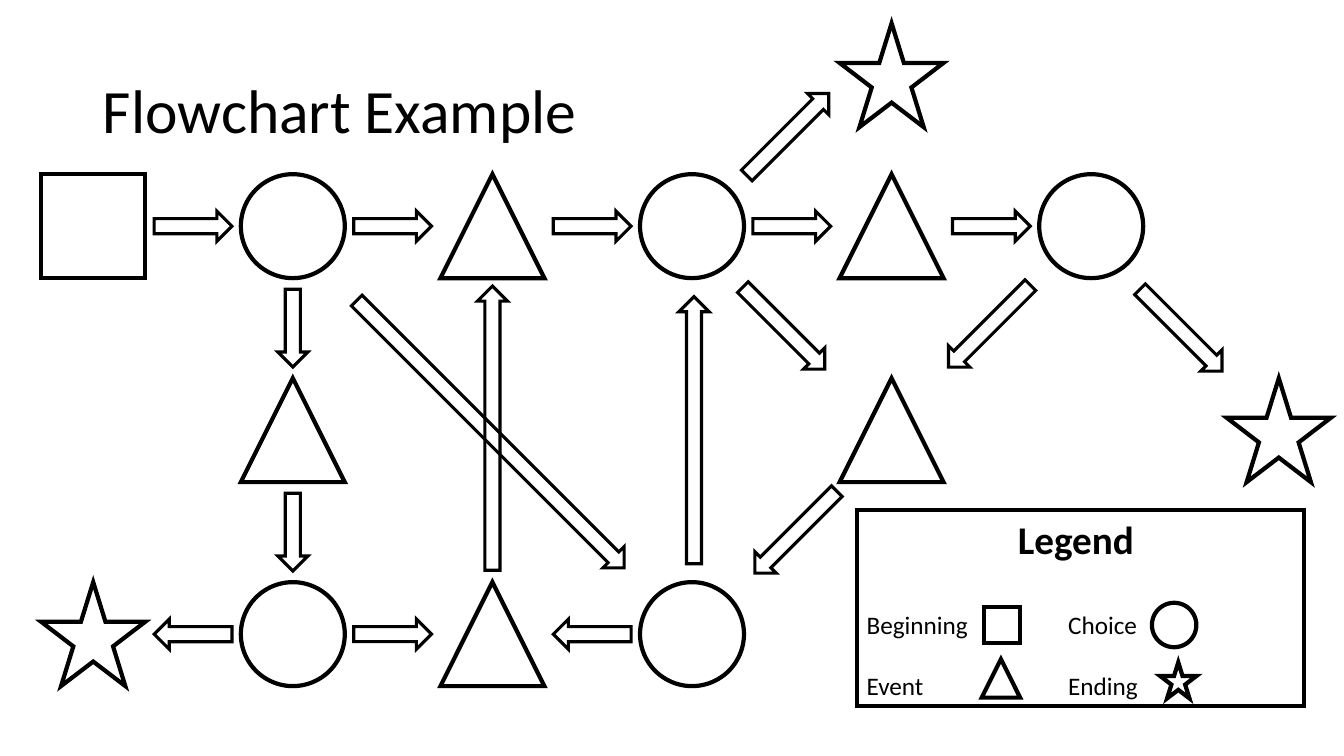
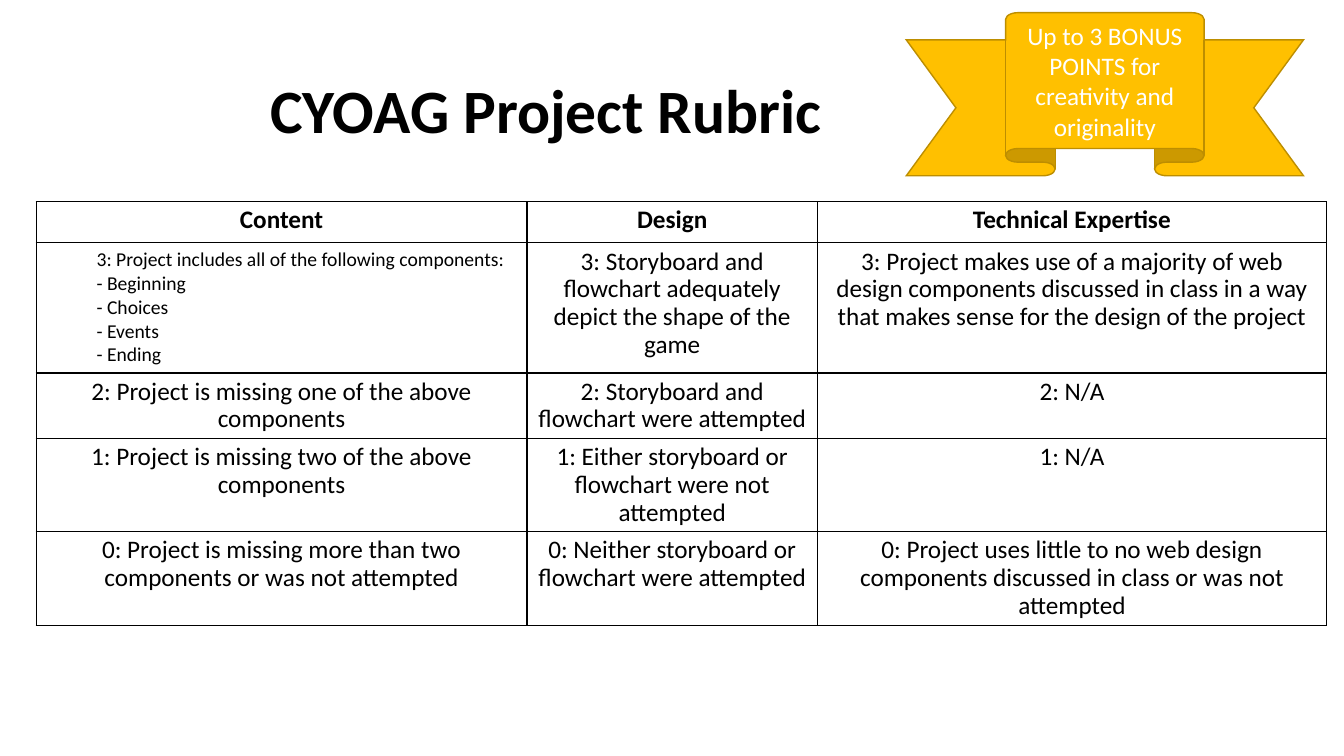
import pptx
import pptx.util
import pptx.dml.color
import pptx.enum.shapes
import pptx.enum.text
import pptx.oxml
import pptx.oxml.ns
from lxml import etree

Cm, Pt = pptx.util.Cm, pptx.util.Pt
SHAPE = pptx.enum.shapes.MSO_SHAPE
ALIGN = pptx.enum.text.PP_ALIGN
ANCHOR = pptx.enum.text.MSO_ANCHOR

COLORS = {"ink": "000000", "paper": "FFFFFF", "gold": "FFC000", "bronze": "BD8E00"}
FONT = "Calibri"
WIDTH, HEIGHT = 33.87, 19.05
NODE = 2.62
SHORT, DIAGONAL = 1.96, 2.92

NODES = [
    (SHAPE.RECTANGLE, [(0, 0)]),
    (SHAPE.OVAL, [(1, 0), (3, 0), (5, 0), (1, 2), (3, 2)]),
    (SHAPE.ISOSCELES_TRIANGLE, [(2, 0), (4, 0), (1, 1), (4, 1), (2, 2)]),
    (SHAPE.STAR_5_POINT, [(4, -0.74), (5.94, 1), (0, 2)]),
]

ARROWS = [
    (SHORT, 0, [(0.5, 0), (1.5, 0), (2.5, 0), (3.5, 0), (4.5, 0), (1.5, 2)]),
    (SHORT, 90, [(1, 0.5), (1, 1.5)]),
    (SHORT, 180, [(0.5, 2), (2.5, 2)]),
    (DIAGONAL, 45, [(3.46, 0.5), (5.45, 0.51)]),
    (DIAGONAL, 135, [(4.49, 0.49), (3.52, 1.5)]),
    (DIAGONAL, 315, [(3.48, -0.45)]),
    (9.53, 45, [(1.99, 1.02)]),
    (7.16, 270, [(2, 0.99)]),
    (6.73, 270, [(3.01, 1)]),
]

LEGEND_KEYS = [
    (SHAPE.RECTANGLE, 24.79, 15.29, 0.91),
    (SHAPE.OVAL, 29.03, 15.19, 1.12),
    (SHAPE.ISOSCELES_TRIANGLE, 24.74, 16.61, 0.97),
    (SHAPE.STAR_5_POINT, 29.24, 16.69, 0.91),
]

RUBRIC = [
    ["Content", "Design", "Technical Expertise"],
    [
        "3: Project includes all of the following components:\n"
        "- Beginning\n- Choices\n- Events\n- Ending",
        "3: Storyboard and flowchart adequately depict the shape of the game",
        "3: Project makes use of a majority of web design components discussed "
        "in class in a way that makes sense for the design of the project",
    ],
    [
        "2: Project is missing one of the above components",
        "2: Storyboard and flowchart were attempted",
        "2: N/A",
    ],
    [
        "1: Project is missing two of the above components",
        "1: Either storyboard or flowchart were not attempted",
        "1: N/A",
    ],
    [
        "0: Project is missing more than two components or was not attempted",
        "0: Neither storyboard or flowchart were attempted",
        "0: Project uses little to no web design components discussed in class "
        "or was not attempted",
    ],
]
COLUMN_WIDTHS = [12.37, 7.32, 12.83]
ROW_HEIGHTS = [1.04, 3.28, 1.64, 2.34, 2.36]


def rgb(name):
    return pptx.dml.color.RGBColor.from_string(COLORS[name])


def apply_format(obj, values):
    for name, value in values.items():
        setattr(obj, name, value)


def write(p, text, size, bold=False, color="ink", **paragraph_format):
    apply_format(p, paragraph_format)
    r = p.add_run()
    r.text = text
    apply_format(r.font, {"name": FONT, "size": Pt(size), "bold": bold})
    r.font.color.rgb = rgb(color)


def add_title(s, text, left, bold=False):
    title = s.shapes.title
    apply_format(title, {
        "left": Cm(left), "top": Cm(1.02),
        "width": Cm(min(29.21, WIDTH - left)), "height": Cm(3.68),
    })
    tf = title.text_frame
    tf.vertical_anchor = ANCHOR.MIDDLE
    write(tf.paragraphs[0], text, 44, bold, alignment=ALIGN.LEFT, line_spacing=0.9)


def add_figure(s, kind, left, top, width, height, weight=3, fill=None, line="ink"):
    sp = s.shapes.add_shape(kind, Cm(left), Cm(top), Cm(width), Cm(height))
    sp.shadow.inherit = False
    if fill:
        sp.fill.solid()
        sp.fill.fore_color.rgb = rgb(fill)
    else:
        sp.fill.background()
    sp.line.color.rgb = rgb(line)
    sp.line.width = Pt(weight)
    ln = sp._element.spPr.find(pptx.oxml.ns.qn("a:ln"))
    etree.SubElement(ln, pptx.oxml.ns.qn("a:miter"), lim="800000")
    return sp


def add_on_grid(s, kind, col, row, width, height, weight):
    left = 2.35 + 5.03 * col - width / 2
    top = 5.7 + 5.14 * row - height / 2
    return add_figure(s, kind, left, top, width, height, weight)


def set_indent(p, left):
    p.alignment = ALIGN.LEFT
    p._p.get_or_add_pPr().set("marL", str(Cm(left)))


def add_tab_stop(p, position):
    tabs = etree.SubElement(p._p.get_or_add_pPr(), pptx.oxml.ns.qn("a:tabLst"))
    etree.SubElement(tabs, pptx.oxml.ns.qn("a:tab"), pos=str(Cm(position)), algn="l")


def add_legend(s):
    tf = add_figure(s, SHAPE.RECTANGLE, 21.59, 12.85, 11.28, 4.95).text_frame
    apply_format(tf, {"word_wrap": True, "vertical_anchor": ANCHOR.TOP})
    p = tf.paragraphs[0]
    set_indent(p, 3.81)
    write(p, "Legend", 28, True)
    for text, gap in [("Beginning\tChoice", 34), ("Event\tEnding", 22)]:
        p = tf.add_paragraph()
        add_tab_stop(p, 5.08)
        write(p, text, 18, alignment=ALIGN.LEFT, space_before=Pt(gap))
    for kind, left, top, size in LEGEND_KEYS:
        add_figure(s, kind, left, top, size, size)


def set_borders(cell):
    tc_pr = cell._tc.get_or_add_tcPr()
    for side in ("lnL", "lnR", "lnT", "lnB"):
        ln = etree.SubElement(tc_pr, pptx.oxml.ns.qn("a:" + side), w=str(Pt(1)))
        fill = etree.SubElement(ln, pptx.oxml.ns.qn("a:solidFill"))
        etree.SubElement(fill, pptx.oxml.ns.qn("a:srgbClr"), val=COLORS["ink"])


def fill_cell(cell, text, bold):
    set_borders(cell)
    cell.fill.background()
    tf = cell.text_frame
    lines = text.split("\n")
    for i, line in enumerate(lines):
        p = tf.add_paragraph() if i else tf.paragraphs[0]
        if len(lines) > 1:
            set_indent(p, 1.27)
            write(p, line, 14)
        else:
            write(p, line, 18, bold, alignment=ALIGN.CENTER, line_spacing=0.9)


def add_rubric(s):
    frame = s.shapes.add_table(
        len(RUBRIC), len(COLUMN_WIDTHS), Cm(0.91), Cm(5.08),
        Cm(sum(COLUMN_WIDTHS)), Cm(sum(ROW_HEIGHTS)))
    table = frame.table
    apply_format(table, {"first_row": False, "horz_banding": False})
    for column, width in zip(table.columns, COLUMN_WIDTHS):
        column.width = Cm(width)
    for i, (row, height) in enumerate(zip(table.rows, ROW_HEIGHTS)):
        row.height = Cm(height)
        for cell, text in zip(row.cells, RUBRIC[i]):
            fill_cell(cell, text, bold=i == 0)


def add_bonus_ribbon(s):
    sp = add_figure(s, SHAPE.UP_RIBBON, 22.84, 0.32, 10.01, 4.11, 1, "gold", "bronze")
    tf = sp.text_frame
    apply_format(tf, {"word_wrap": True, "vertical_anchor": ANCHOR.MIDDLE})
    write(tf.paragraphs[0], "Up to 3 BONUS POINTS for creativity and originality",
          18, color="paper", alignment=ALIGN.CENTER)


def build_flowchart(s):
    add_title(s, "Flowchart Example", 2.34)
    for kind, places in NODES:
        for col, row in places:
            add_on_grid(s, kind, col, row, NODE, NODE, 3)
    for length, angle, places in ARROWS:
        for col, row in places:
            sp = add_on_grid(s, SHAPE.RIGHT_ARROW, col, row, length, 0.76, 2.25)
            sp.rotation = angle
    add_legend(s)


def build_rubric(s):
    add_title(s, "CYOAG Project Rubric", 6.56, bold=True)
    add_rubric(s)
    add_bonus_ribbon(s)


def main():
    prs = pptx.Presentation()
    apply_format(prs, {"slide_width": Cm(WIDTH), "slide_height": Cm(HEIGHT)})
    for build in (build_flowchart, build_rubric):
        build(prs.slides.add_slide(prs.slide_layouts[5]))
    prs.save("out.pptx")


if __name__ == "__main__":
    main()
